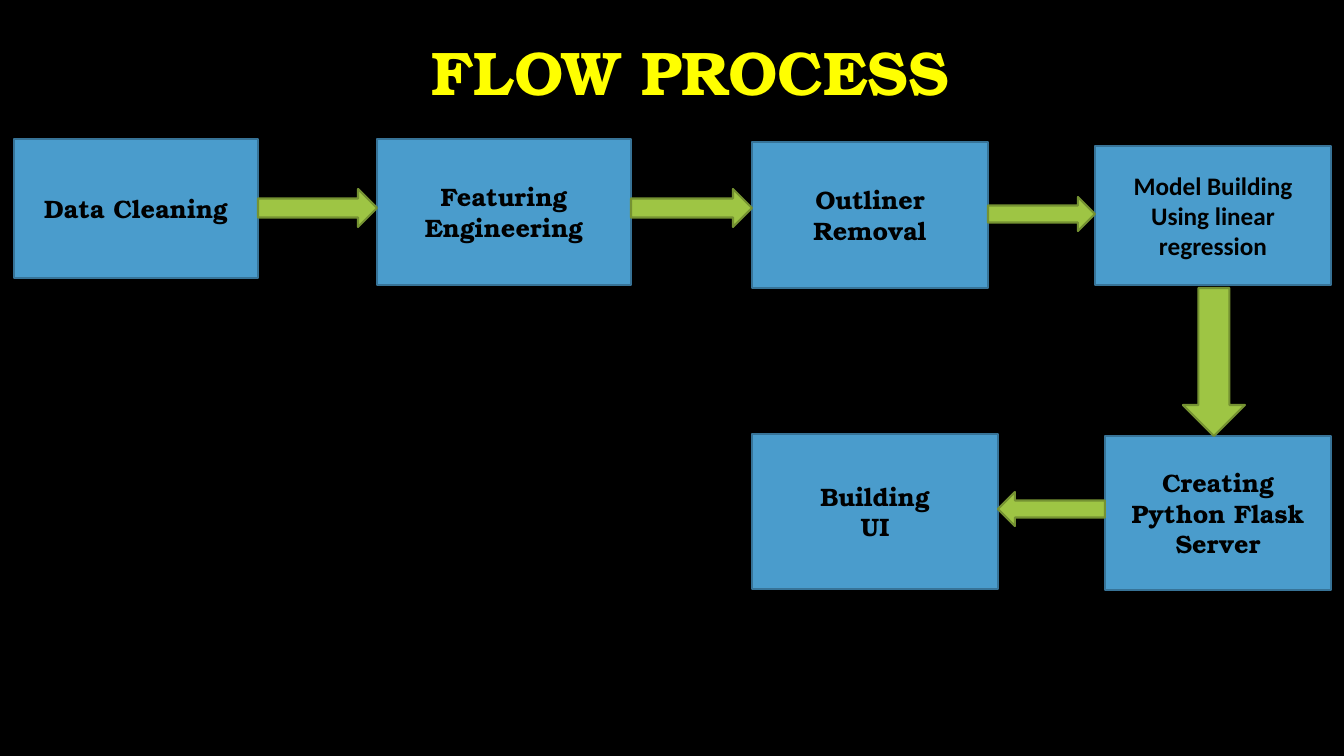
import pptx
import pptx.util
import pptx.dml.color
import pptx.enum.shapes
import pptx.enum.text

SHAPE = pptx.enum.shapes.MSO_SHAPE
SERIF, SANS = "TeX Gyre Bonum", "Calibri"

# Content: lengths in px
SIZE = (1344, 756)
TITLE = ("FLOW PROCESS", (102, 3, 1177, 146))
STEPS = {
    "clean": ("Data Cleaning", SERIF, (14, 139, 244, 139)),
    "feature": ("Featuring Engineering", SERIF, (377, 139, 254, 146)),
    "outlier": ("Outliner Removal", SERIF, (752, 142, 236, 146)),
    "model": ("Model Building Using linear regression", SANS, (1095, 146, 236, 139)),
    "server": ("Creating Python Flask Server", SERIF, (1105, 436, 226, 154)),
    "screen": ("Building\nUI", SERIF, (752, 434, 246, 155)),
}
# From, to, centre across the arrow, thickness, gap at the start
FLOWS = [
    ("clean", "feature", 208, 38, 0),
    ("feature", "outlier", 208, 38, 0),
    ("outlier", "model", 214, 34, 0),
    ("model", "server", 1214, 62, 3),
    ("server", "screen", 509, 34, 0),
]
BOX = {"fill": "4A9CCC", "line": "377397"}
ARROW = {"fill": "9EC544", "line": "759232"}
HEAD = {"name": SERIF, "size": pptx.util.Pt(44), "bold": True}
LABEL = {"size": pptx.util.Pt(18), "bold": True}


def px(n):
    return round(n * 914400 / 100.8)


def rgb(code):
    return pptx.dml.color.RGBColor.from_string(code)


def write(shape, text, look, ink, space=1.0):
    frame = shape.text_frame
    frame.word_wrap = True
    frame.vertical_anchor = pptx.enum.text.MSO_ANCHOR.MIDDLE
    frame.text = text
    for para in frame.paragraphs:
        para.alignment = pptx.enum.text.PP_ALIGN.CENTER
        para.line_spacing = space
        for key, value in look.items():
            setattr(para.font, key, value)
        para.font.color.rgb = rgb(ink)


def draw(kind, rect, paint):
    shape = slide.shapes.add_shape(kind, *map(px, rect))
    shape.shadow.inherit = False
    shape.fill.solid()
    shape.fill.fore_color.rgb = rgb(paint["fill"])
    shape.line.color.rgb = rgb(paint["line"])
    shape.line.width = pptx.util.Pt(1.5)
    return shape


def route(start, end, mid, thick, gap):
    """Return the arrow shape and the rectangle between two boxes."""
    ax, ay, aw, ah = start
    bx, by, bw, bh = end
    side = mid - thick / 2
    if bx >= ax + aw:
        left = ax + aw + gap
        return SHAPE.RIGHT_ARROW, (left, side, bx - left, thick)
    if bx + bw <= ax:
        left = bx + bw
        return SHAPE.LEFT_ARROW, (left, side, ax - gap - left, thick)
    top = ay + ah + gap
    return SHAPE.DOWN_ARROW, (side, top, thick, by - top)


# Slide
deck = pptx.Presentation()
deck.slide_width, deck.slide_height = map(px, SIZE)
slide = deck.slides.add_slide(deck.slide_layouts[6])
slide.background.fill.solid()
slide.background.fill.fore_color.rgb = rgb("000000")

# Title
text, rect = TITLE
write(slide.shapes.add_textbox(*map(px, rect)), text, HEAD, "FFFF00", 0.9)

# Steps
for text, face, rect in STEPS.values():
    write(draw(SHAPE.RECTANGLE, rect, BOX), text, {"name": face, **LABEL}, "000000")

# Arrows
for start, end, mid, thick, gap in FLOWS:
    kind, rect = route(STEPS[start][-1], STEPS[end][-1], mid, thick, gap)
    draw(kind, rect, ARROW)

deck.save("out.pptx")
